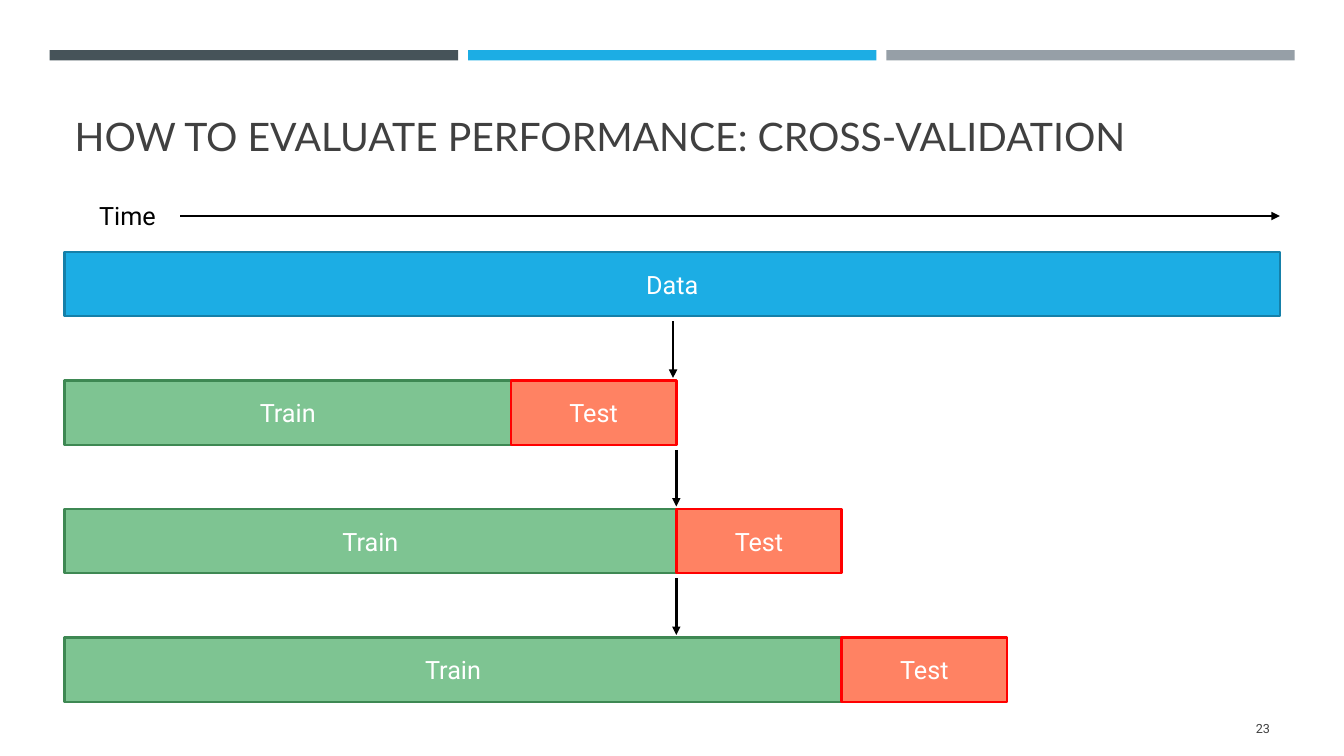
from lxml import etree
from pptx import Presentation
from pptx import util as u
from pptx.dml.color import RGBColor
from pptx.enum import shapes, text
from pptx.oxml import ns

COLORS = {
    "slate": "465359", "blue": "1CADE4", "gray": "969FA7",
    "blue_edge": "1580A9", "green": "7EC492", "green_edge": "3E8853",
    "orange": "FF3300", "red": "FF0000",
    "ink": "404040", "black": "000000", "white": "FFFFFF",
}


class Deck:
    left, top = 0.64, 2.5
    col, row = 1.64, 5.1 / 4
    title_font, body_font = "Lato", "Roboto"
    line_width = u.Pt(1.75)
    arrow_width = u.Pt(2)

    def __init__(self):
        self.prs = Presentation()
        self.prs.slide_width = u.Inches(13.33)
        self.prs.slide_height = u.Inches(7.5)
        self.s = self.prs.slides.add_slide(self.prs.slide_layouts[5])

    def point(self, col, row):
        return (u.Inches(self.left + col * self.col),
                u.Inches(self.top + row * self.row))

    def box(self, col, row, cols, rows):
        return (*self.point(col, row),
                u.Inches(cols * self.col), u.Inches(rows * self.row))

    def color(self, name):
        return RGBColor.from_string(COLORS[name])

    def set_text(self, sp, words, size, color, font=None,
                 align=text.PP_ALIGN.LEFT, anchor=text.MSO_ANCHOR.MIDDLE):
        tf = sp.text_frame
        tf.word_wrap = True
        tf.vertical_anchor = anchor
        p = tf.paragraphs[0]
        p.text = words
        p.alignment = align
        p.font.size = u.Pt(size)
        p.font.name = font or self.body_font
        p.font.color.rgb = self.color(color)

    def title(self, words, *grid):
        sp = self.s.shapes.title
        sp.left, sp.top, sp.width, sp.height = self.box(*grid)
        self.set_text(sp, words, 28, "ink", self.title_font,
                      anchor=text.MSO_ANCHOR.BOTTOM)
        sp.text_frame.auto_size = text.MSO_AUTO_SIZE.NONE

    def label(self, words, *grid, size=18, color="black", **style):
        sp = self.s.shapes.add_textbox(*self.box(*grid))
        self.set_text(sp, words, size, color, **style)

    def bar(self, fill, *grid, edge=None, words=None, alpha=None):
        sp = self.s.shapes.add_shape(shapes.MSO_SHAPE.RECTANGLE, *self.box(*grid))
        sp.shadow.inherit = False
        sp.fill.solid()
        sp.fill.fore_color.rgb = self.color(fill)
        if alpha:
            rgb = sp._element.spPr.find(".//" + ns.qn("a:srgbClr"))
            etree.SubElement(rgb, ns.qn("a:alpha"), val=str(alpha * 1000))
        if edge:
            sp.line.color.rgb = self.color(edge)
            sp.line.width = self.line_width
        else:
            sp.line.fill.background()
        if words:
            self.set_text(sp, words, 18, "white", align=text.PP_ALIGN.CENTER)

    def arrow(self, start, end):
        c = self.s.shapes.add_connector(
            shapes.MSO_CONNECTOR.STRAIGHT, *self.point(*start), *self.point(*end))
        c.line.color.rgb = self.color("black")
        c.line.width = self.arrow_width
        sp_pr = c._element.spPr
        etree.SubElement(sp_pr.find(ns.qn("a:ln")), ns.qn("a:tailEnd"), type="triangle")
        etree.SubElement(sp_pr, ns.qn("a:effectLst"))


def main():
    deck = Deck()
    data_cols, first_train, bar_rows = 7.35, 2.7, 0.5

    for i, fill in enumerate(("slate", "blue", "gray")):
        deck.bar(fill, -0.09 + i * 2.53, -1.57, 2.47, 0.08)
    deck.title("HOW TO EVALUATE PERFORMANCE: CROSS-VALIDATION",
               0, -1.18, data_cols, bar_rows)
    deck.label("23", 6.65, 3.55, 0.7, 0.31, size=9, color="ink",
               align=text.PP_ALIGN.RIGHT)

    deck.bar("blue", 0, 0, data_cols, bar_rows, edge="blue_edge", words="Data")
    for fold in range(3):
        train = first_train + fold
        deck.bar("green", 0, fold + 1, train, bar_rows,
                 edge="green_edge", words="Train")
        deck.bar("orange", train, fold + 1, 1, bar_rows,
                 edge="red", words="Test", alpha=61)

    for row, col in enumerate((3.68, 3.7, 3.7)):
        deck.arrow((col, row + 0.54), (col, row + 0.98))
    deck.arrow((0.7, -0.28), (data_cols, -0.28))
    deck.label("Time", 0.15, -0.44, 0.66, 0.32, anchor=text.MSO_ANCHOR.TOP)

    deck.prs.save("out.pptx")


if __name__ == "__main__":
    main()
